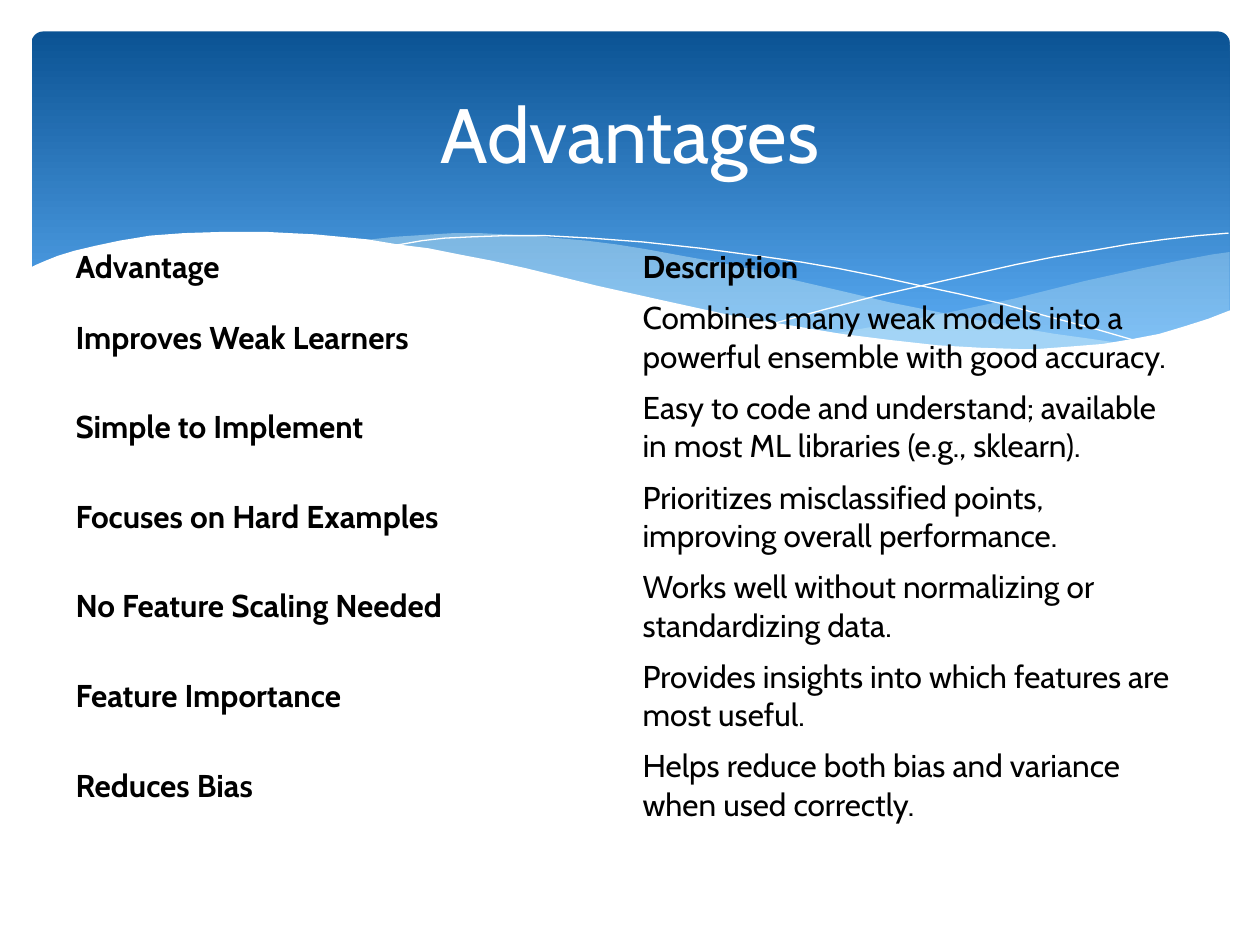
import lxml.etree
import pptx
import pptx.dml.color
import pptx.enum.shapes
import pptx.enum.text
import pptx.oxml.ns
import pptx.util

Pt = pptx.util.Pt
qn = pptx.oxml.ns.qn
MIDDLE = pptx.enum.text.MSO_ANCHOR.MIDDLE


def rgb(value):
    return pptx.dml.color.RGBColor.from_string(value)


def write(tf, text, color, **formats):
    p = tf.paragraphs[0]
    r = p.add_run()
    r.text = text
    r.font.color.rgb = rgb(color)
    for name, value in formats.items():
        setattr(r.font, name, value)
    return p


prs = pptx.Presentation()
prs.slide_width, prs.slide_height = Pt(720), Pt(540)
s = prs.slides.add_slide(prs.slide_layouts[6])

sp = s.shapes.add_shape(
    pptx.enum.shapes.MSO_SHAPE.ROUNDED_RECTANGLE, Pt(18), Pt(18), Pt(684.72), Pt(194.4)
)
sp.adjustments[0] = 0.034
sp.shadow.inherit = False
sp.line.fill.background()
sp.fill.gradient()
sp.fill.gradient_angle = 270
for stop, position, color in zip(sp.fill.gradient_stops, (0, 0.9), ("0B5394", "59AAF2")):
    stop.position = position
    stop.color.rgb = rgb(color)

right_swell = [
    (976, 200), (962, 202), (935, 207), (906, 213), (861, 223), (805, 237), (753, 248),
    (706, 257), (661, 265), (691, 269), (719, 272), (745, 275), (769, 277), (803, 278),
    (835, 277), (863, 275), (889, 272), (913, 267), (935, 262), (949, 257), (963, 252),
    (976, 247),
]
middle_swell = [
    (893, 273), (866, 269), (837, 265), (807, 260), (775, 254), (741, 247), (706, 240),
    (668, 231), (629, 222), (598, 214), (569, 208), (541, 203), (514, 198), (489, 194),
    (465, 191), (442, 189), (420, 187), (399, 186), (380, 185), (361, 185), (344, 186),
    (313, 188), (286, 191), (323, 196), (362, 203), (404, 211), (449, 222), (491, 232),
    (530, 240), (566, 248), (601, 255), (634, 261), (665, 266), (695, 270), (722, 274),
    (748, 276), (773, 277), (796, 278), (828, 278), (857, 277), (876, 275),
]
falling_line = [
    (309, 195), (318, 194), (335, 191), (353, 189), (374, 188), (401, 187), (433, 187),
    (469, 189), (510, 192), (556, 197), (608, 204), (636, 208), (665, 213), (695, 219),
    (727, 226), (760, 233), (795, 241), (831, 251), (869, 261), (907, 272),
]
rising_line = [
    (613, 257), (653, 246), (695, 235), (748, 223), (806, 210), (836, 204), (866, 199),
    (895, 194), (924, 190), (951, 187), (975, 185),
]
white_base = [
    (977, 246), (959, 253), (940, 259), (920, 265), (899, 269), (875, 273), (850, 275),
    (823, 277), (809, 277), (778, 276), (744, 274), (708, 270), (668, 265), (626, 258),
    (579, 250), (529, 239), (475, 227), (418, 213), (391, 207), (365, 202), (340, 197),
    (316, 194), (292, 190), (271, 188), (250, 186), (230, 185), (211, 184), (177, 184),
    (146, 185), (119, 187), (95, 191), (76, 195), (59, 199), (46, 203), (36, 207),
    (29, 210), (23, 213), (23, 329), (977, 329),
]
waves = [
    (right_swell, "DBF5F9", 29),
    (middle_swell, "DBF5F9", 40),
    (falling_line, None, None),
    (rising_line, None, None),
    (white_base, "FFFFFF", 100),
]
for points, color, opacity in waves:
    builder = s.shapes.build_freeform(*points[0], scale=Pt(0.72))
    builder.add_line_segments(points[1:], close=color is not None)
    sp = builder.convert_to_shape()
    sp.shadow.inherit = False
    if color is None:
        sp.fill.background()
        sp.line.color.rgb = rgb("FFFFFF")
        sp.line.width = Pt(0)
        continue
    sp.line.fill.background()
    sp.fill.solid()
    sp.fill.fore_color.rgb = rgb(color)
    if opacity < 100:
        clr = next(sp.element.spPr.iter(qn("a:srgbClr")))
        lxml.etree.SubElement(clr, qn("a:alpha")).set("val", str(opacity * 1000))

rows = [
    ("Advantage", "Description"),
    ("Improves Weak Learners",
     "Combines many weak models into a powerful ensemble with good accuracy."),
    ("Simple to Implement",
     "Easy to code and understand; available in most ML libraries (e.g., sklearn)."),
    ("Focuses on Hard Examples",
     "Prioritizes misclassified points, improving overall performance."),
    ("No Feature Scaling Needed", "Works well without normalizing or standardizing data."),
    ("Feature Importance", "Provides insights into which features are most useful."),
    ("Reduces Bias", "Helps reduce both bias and variance when used correctly."),
]
frame = s.shapes.add_table(len(rows), 2, Pt(36), Pt(138.24), Pt(648), Pt(336.4))
table = frame.table
table.first_row = table.horz_banding = False
style = next(frame.element.iter(qn("a:tableStyleId")))
style.text = "{2D5ABB26-0587-4C30-8999-92F81FD0307C}"
for i, texts in enumerate(rows):
    table.rows[i].height = Pt(51.2 if i else 29.2)
    for j, text in enumerate(texts):
        cell = table.cell(i, j)
        cell.fill.background()
        cell.vertical_anchor = MIDDLE
        write(cell.text_frame, text, "000000", name="Cabin", size=Pt(18), bold=i == 0 or j == 0)

tf = s.shapes.add_textbox(Pt(36), Pt(26.64), Pt(648), Pt(98.64)).text_frame
tf.word_wrap = True
tf.vertical_anchor = MIDDLE
p = write(tf, "Advantages", "FFFFFF", name="Cabin", size=Pt(44))
p.alignment = pptx.enum.text.PP_ALIGN.CENTER

prs.save("out.pptx")
